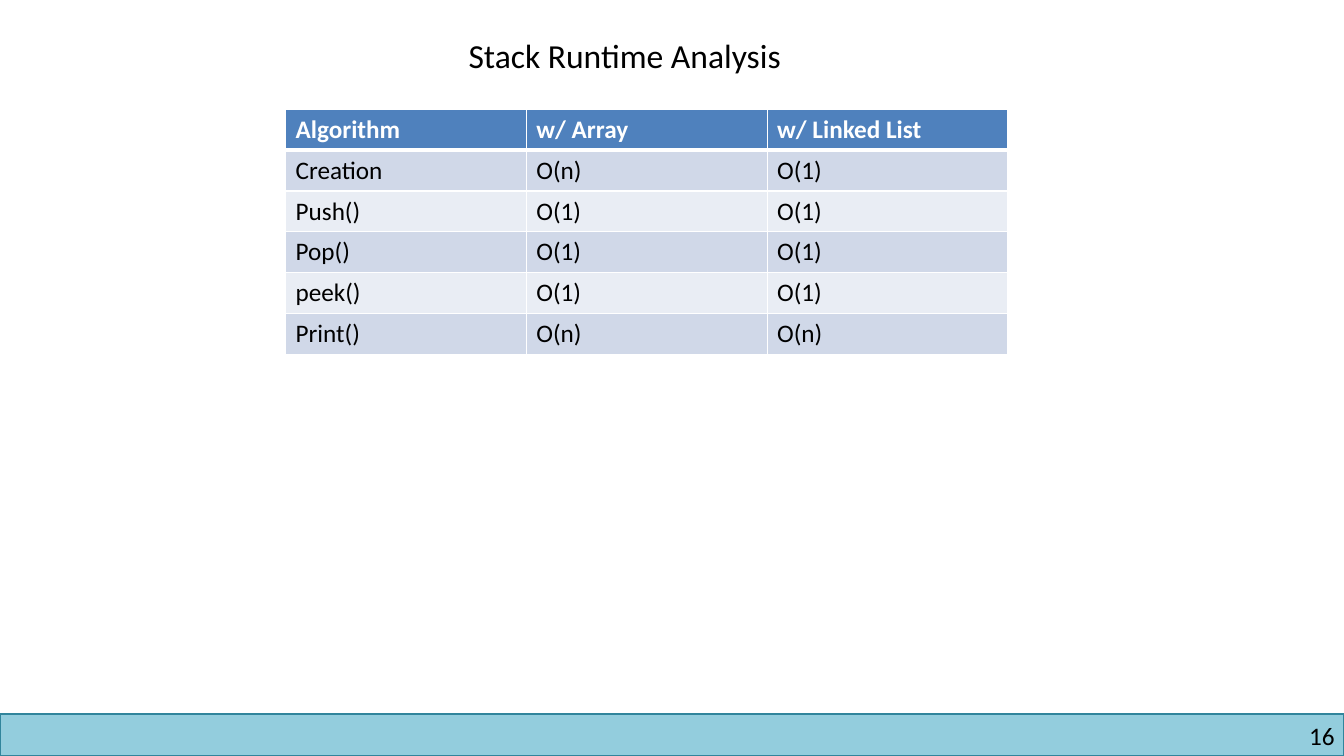
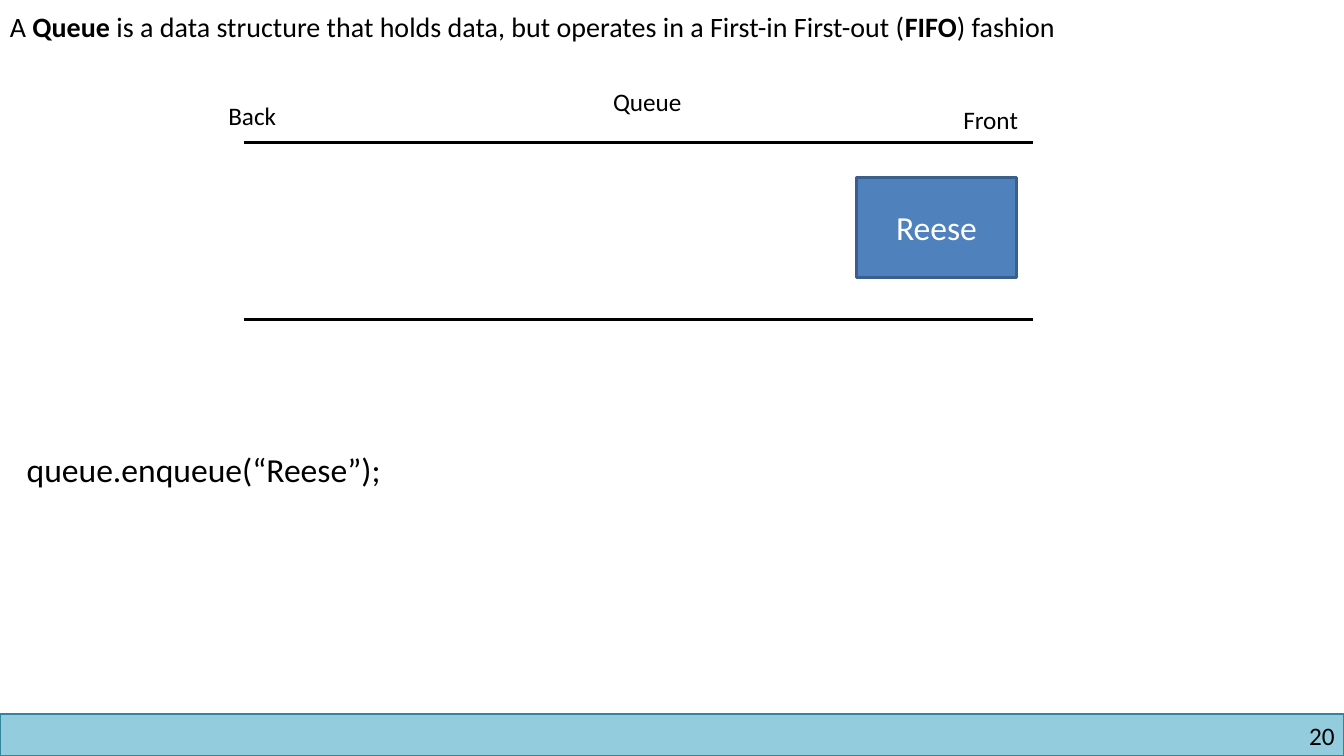
from dataclasses import dataclass

from lxml.etree import SubElement
from pptx import Presentation
from pptx.dml.color import RGBColor
from pptx.enum.shapes import MSO_CONNECTOR as CONN, MSO_SHAPE as SHAPE
from pptx.enum.text import MSO_ANCHOR as ANCHOR, PP_ALIGN as ALIGN
from pptx.oxml import parse_xml
from pptx.oxml.ns import nsdecls, qn
from pptx.util import Inches, Pt

UNIT = Inches(1) / 12
COLS, ROWS = 160, 90


@dataclass(frozen=True)
class Theme:
    """Colours, font and type sizes of the deck."""
    font: str = "Calibri"
    ink: str = "000000"
    paper: str = "FFFFFF"
    band: str = "93CDDD"
    band_line: str = "31859C"
    accent: str = "4F81BD"
    accent_line: str = "3A5F8C"
    stripes: tuple = ("E9EDF4", "D0D8E8")
    large: int = 24
    medium: int = 20
    small: int = 18


T = Theme()


@dataclass(frozen=True)
class Box:
    """A region measured in grid columns and rows."""
    x: float
    y: float
    w: float
    h: float

    def inner(self, x, y, w, h):
        """Return a box placed from this box's top left corner."""
        return Box(self.x + x, self.y + y, w, h)

    def emu(self):
        """Return left, top, width and height as lengths."""
        return [grid(v) for v in (self.x, self.y, self.w, self.h)]


def grid(n):
    """Convert grid units to a length."""
    return round(n * UNIT)


def rgb(color):
    """Convert a hex string to a colour."""
    return RGBColor.from_string(color)


def write(tf, runs, size, color=T.ink, align=ALIGN.LEFT):
    """Fill the first paragraph with (text, bold) runs."""
    p = tf.paragraphs[0]
    p.alignment = align
    for text, bold in runs:
        r = p.add_run()
        r.text = text
        r.font.name, r.font.size, r.font.bold = T.font, Pt(size), bold
        r.font.color.rgb = rgb(color)


def add_text(s, box, runs, size, align=ALIGN.LEFT, inset=True):
    """Add a text box; a plain string counts as one regular run."""
    tf = s.shapes.add_textbox(*box.emu()).text_frame
    tf.word_wrap = True
    if not inset:
        tf.margin_left = tf.margin_right = tf.margin_top = tf.margin_bottom = 0
    write(tf, [(runs, False)] if isinstance(runs, str) else runs, size, align=align)


def add_rect(s, box, fill, line, weight):
    """Add a flat rectangle."""
    sp = s.shapes.add_shape(SHAPE.RECTANGLE, *box.emu())
    sp.shadow.inherit = False
    sp.fill.solid()
    sp.fill.fore_color.rgb = rgb(fill)
    sp.line.color.rgb = rgb(line)
    sp.line.width = Pt(weight)
    return sp


def add_rule(s, box, y):
    """Draw a horizontal rule across the box, y rows down."""
    left, right, top = grid(box.x), grid(box.x + box.w), grid(box.y + y)
    ln = s.shapes.add_connector(CONN.STRAIGHT, left, top, right, top)
    ln.line.color.rgb = rgb(T.ink)
    ln.line.width = Pt(2.25)
    SubElement(ln._element.spPr, qn("a:effectLst"))


def add_footer(s, box, number):
    """Draw the bottom band with the slide number."""
    add_rect(s, box, T.band, T.band_line, 1)
    add_text(s, box.inner(122, 0.8, 36.9, 3.6), str(number), T.small,
             ALIGN.RIGHT, inset=False)


def set_borders(cell, bottom, top):
    """Give a cell white borders."""
    weights = {"lnL": 1, "lnR": 1, "lnT": top, "lnB": bottom}
    for i, (side, weight) in enumerate(weights.items()):
        cell._tc.get_or_add_tcPr().insert(i, parse_xml(
            f'<a:{side} {nsdecls("a")} w="{Pt(weight)}"><a:solidFill>'
            f'<a:srgbClr val="{T.paper}"/></a:solidFill></a:{side}>'))


def add_striped_table(s, box, rows):
    """Add a table with a bold header and striped body rows."""
    tbl = s.shapes.add_table(len(rows), len(rows[0]), *box.emu()).table
    for row in tbl.rows:
        row.height = grid(box.h / len(rows))
    for i, values in enumerate(rows):
        head = i == 0
        for j, value in enumerate(values):
            cell = tbl.cell(i, j)
            cell.fill.solid()
            cell.fill.fore_color.rgb = rgb(T.accent if head else T.stripes[i % 2])
            set_borders(cell, bottom=3 if head else 1, top=3 if i == 1 else 1)
            write(cell.text_frame, [(value, head)], T.small,
                  T.paper if head else T.ink)


def add_queue(s, box, item):
    """Draw the queue track with its labels and the item at the front."""
    track = box.inner(3, 7.3, box.w - 3, 21)
    for y in (0, track.h):
        add_rule(s, track, y)
    for text, x, y, w in (("Queue", 45.8, 0, 11.5), ("Back", 0, 1.6, 9.1),
                          ("Front", 87.5, 2.1, 9.5)):
        add_text(s, box.inner(x, y, w, 4.8), text, T.small)
    sp = add_rect(s, track.inner(73, 4.1, 19, 11.9), T.accent, T.accent_line, 2)
    sp.text_frame.vertical_anchor = ANCHOR.MIDDLE
    write(sp.text_frame, [(item, False)], T.large, T.paper, ALIGN.CENTER)


def new_slide(prs, number):
    """Add a blank slide with the shared footer."""
    s = prs.slides.add_slide(prs.slide_layouts[6])
    add_footer(s, Box(0, 85, COLS, ROWS - 85), number)
    return s


def runtime_slide(prs):
    """Build the stack runtime table slide."""
    s = new_slide(prs, 16)
    add_striped_table(s, Box(34, 13, 86, 29.2), [
        ("Algorithm", "w/ Array", "w/ Linked List"),
        ("Creation", "O(n)", "O(1)"),
        ("Push()", "O(1)", "O(1)"),
        ("Pop()", "O(1)", "O(1)"),
        ("peek()", "O(1)", "O(1)"),
        ("Print()", "O(n)", "O(n)"),
    ])
    add_text(s, Box(54.6, 3.6, 44.9, 6), "Stack Runtime Analysis", T.large)


def queue_slide(prs):
    """Build the queue definition slide."""
    s = new_slide(prs, 20)
    add_text(s, Box(0, 0.6, 155, 5.3), [
        ("A ", False), ("Queue", True),
        (" is a data structure that holds data, but operates in a "
         "First-in First-out (", False),
        ("FIFO", True), (") fashion", False)], T.medium)
    add_queue(s, Box(26, 9.7, 97, 28.3), "Reese")
    add_text(s, Box(2, 52.9, 48.7, 6), "queue.enqueue(“Reese”);", T.large)


def main():
    """Build and save the deck."""
    prs = Presentation()
    prs.slide_width, prs.slide_height = grid(COLS), grid(ROWS)
    runtime_slide(prs)
    queue_slide(prs)
    prs.save("out.pptx")


if __name__ == "__main__":
    main()
